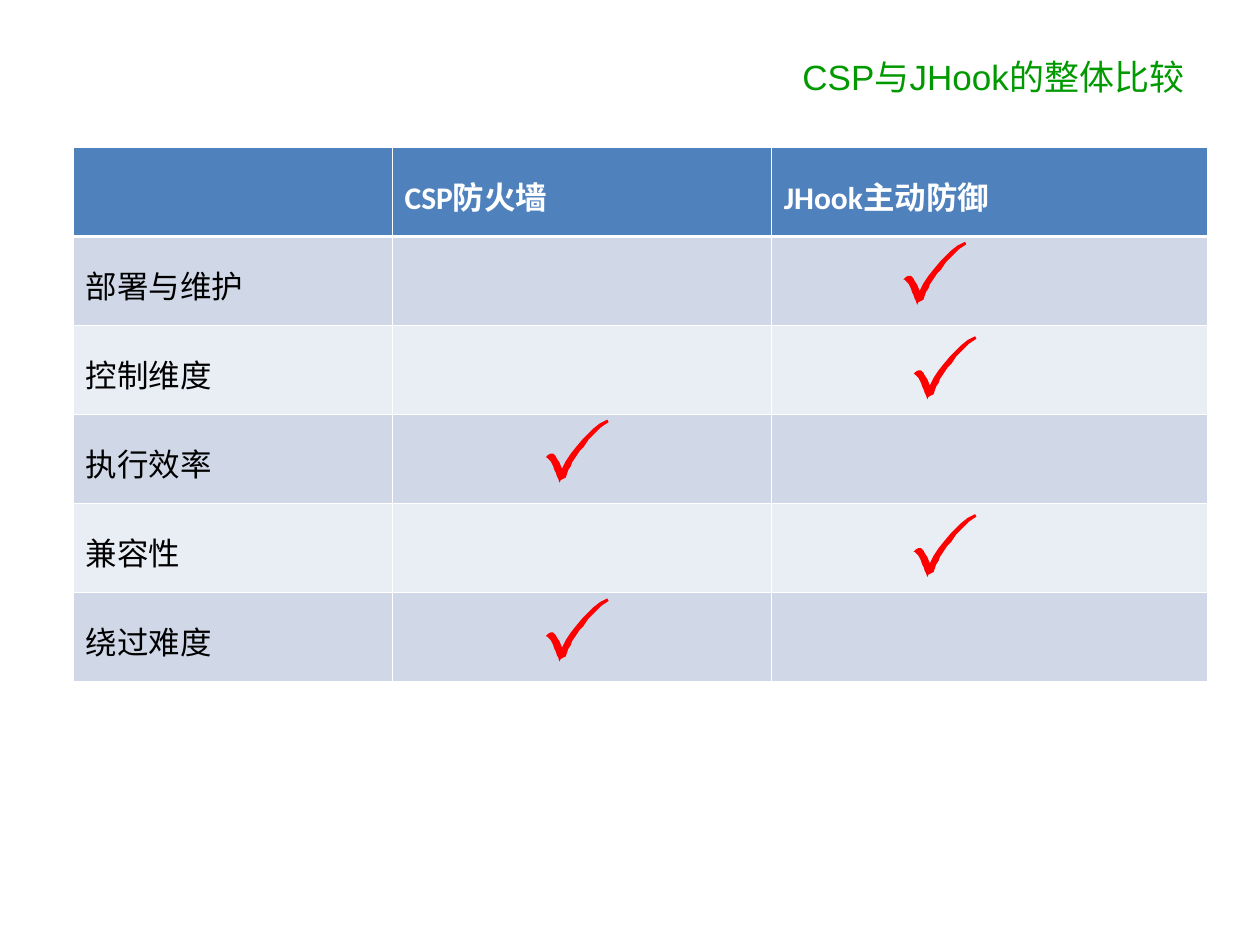
from typing import NamedTuple

from lxml import etree
from pptx import Presentation
from pptx.dml.color import RGBColor
from pptx.enum.text import MSO_ANCHOR, MSO_AUTO_SIZE, PP_ALIGN
from pptx.oxml.ns import qn
from pptx.util import Pt

MIDDLE = MSO_ANCHOR.MIDDLE
RIGHT = PP_ALIGN.RIGHT
NO_FIT = MSO_AUTO_SIZE.NONE

WHITE = RGBColor(0xFF, 0xFF, 0xFF)
BLACK = RGBColor(0x00, 0x00, 0x00)
GREEN = RGBColor(0x00, 0x99, 0x00)
RED = RGBColor(0xFF, 0x00, 0x00)
BLUE = RGBColor(0x4F, 0x81, 0xBD)
DARK = RGBColor(0xD0, 0xD8, 0xE8)
LIGHT = RGBColor(0xE9, 0xED, 0xF4)

THIN, THICK = 0.45, 1.47
UNIT = Pt(0.72)
COLS = (182.2, 216.7, 249.1)
HIGH = 50.9


class Row(NamedTuple):
    cells: tuple[str, str, str]
    fill: RGBColor


class Tick(NamedTuple):
    left: float
    top: float


ROWS = (
    Row(("", "CSP防火墙", "JHook主动防御"), BLUE),
    Row(("部署与维护", "", ""), DARK),
    Row(("控制维度", "", ""), LIGHT),
    Row(("执行效率", "", ""), DARK),
    Row(("兼容性", "", ""), LIGHT),
    Row(("绕过难度", "", ""), DARK),
)

TICKS = (
    Tick(516.2, 138.2),
    Tick(522, 192.2),
    Tick(311.8, 239.8),
    Tick(522, 293.8),
    Tick(311.8, 342),
)

CURVE = (
    (49, 0), (50, 2), (47, 4), (44, 6), (42, 8), (39, 11), (37, 13),
    (34, 16), (32, 19), (30, 22), (27, 25), (25, 28), (23, 31), (21, 34),
    (20, 37), (18, 40), (17, 43), (16, 46), (14, 47), (12, 48), (11, 50),
    (10, 47), (9, 45), (8, 42), (7, 40), (6, 37), (5, 35), (4, 33),
    (3, 32), (2, 31), (1, 30), (0, 30), (1, 29), (2, 28), (4, 27),
    (6, 27), (7, 28), (8, 29), (9, 31), (11, 34), (13, 39), (16, 33),
    (20, 27), (24, 22), (29, 16), (34, 11), (38, 7), (43, 3), (49, 0),
)


def add_run(para, text: str, font: str, size: float, color: RGBColor, bold: bool) -> None:
    run = para.add_run()
    run.text = text
    run.font.name = font
    run.font.size = Pt(size)
    run.font.bold = bold
    run.font.color.rgb = color


def add_edge(cell, side: str, width: float) -> None:
    props = cell._tc.get_or_add_tcPr()
    line = etree.SubElement(props, qn(f"a:ln{side}"), w=str(Pt(width)))
    fill = etree.SubElement(line, qn("a:solidFill"))
    etree.SubElement(fill, qn("a:srgbClr"), val=str(WHITE))


def set_title(slide) -> None:
    title = slide.shapes.title
    title.left, title.top = Pt(270), Pt(21.6)
    title.width, title.height = Pt(414), Pt(44.6)
    frame = title.text_frame
    frame.auto_size = NO_FIT
    frame.vertical_anchor = MIDDLE
    para = frame.paragraphs[0]
    para.alignment = RIGHT
    add_run(para, "CSP与JHook的整体比较", "Arial", 20, GREEN, False)


def fill_cell(cell, text: str, fill: RGBColor, row: int) -> None:
    widths = {
        "L": THIN,
        "R": THIN,
        "T": THICK if row == 1 else THIN,
        "B": THICK if row == 0 else THIN,
    }
    for side, width in widths.items():
        add_edge(cell, side, width)
    cell.fill.solid()
    cell.fill.fore_color.rgb = fill
    cell.vertical_anchor = MIDDLE
    cell.margin_left = cell.margin_right = Pt(7.2)
    cell.margin_top, cell.margin_bottom = Pt(8.1), Pt(3.6)
    if text:
        head = row == 0
        color = WHITE if head else BLACK
        add_run(cell.text_frame.paragraphs[0], text, "Calibri", 18, color, head)


def draw_table(slide, rows: tuple[Row, ...]) -> None:
    frame = slide.shapes.add_table(
        len(rows), len(COLS), Pt(41.8), Pt(84.2), Pt(sum(COLS)), Pt(HIGH * len(rows))
    )
    table = frame.table
    for col, width in zip(table.columns, COLS):
        col.width = Pt(width)
    for r, row in enumerate(rows):
        table.rows[r].height = Pt(HIGH)
        for c, text in enumerate(row.cells):
            fill_cell(table.cell(r, c), text, row.fill, r)


def draw_tick(slide, tick: Tick) -> None:
    pen = slide.shapes.build_freeform(*CURVE[0], scale=UNIT)
    pen.add_line_segments(CURVE[1:], close=True)
    shape = pen.convert_to_shape(Pt(tick.left), Pt(tick.top))
    shape.shadow.inherit = False
    shape.fill.solid()
    shape.fill.fore_color.rgb = RED
    shape.line.fill.background()


def main() -> None:
    deck = Presentation()
    deck.slide_width, deck.slide_height = Pt(720), Pt(540)
    slide = deck.slides.add_slide(deck.slide_layouts[5])
    set_title(slide)
    draw_table(slide, ROWS)
    for tick in TICKS:
        draw_tick(slide, tick)
    deck.save("out.pptx")


if __name__ == "__main__":
    main()
